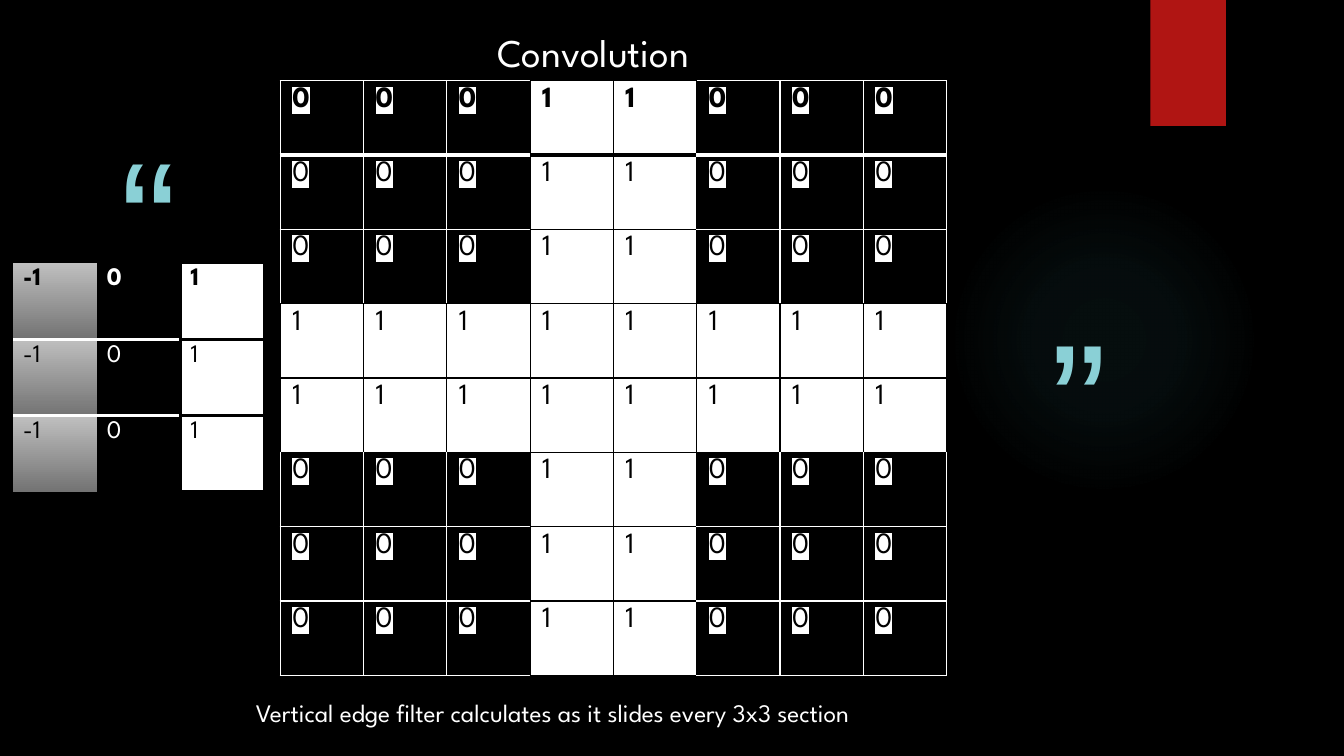
from lxml import etree
from pptx import Presentation
from pptx import util as u
from pptx.dml.color import RGBColor
from pptx.enum import shapes, text
from pptx.oxml.ns import qn

BLACK, WHITE, RED, TEAL, GLOW = "000000", "FFFFFF", "B01513", "8AD0D6", "50B9C1"
FONT = "League Spartan"
PLAIN_GRID = "{2D5ABB26-0587-4C30-8999-92F81FD0307C}"
SIDES = {"lnL": (0, -1), "lnR": (0, 1), "lnT": (-1, 0), "lnB": (1, 0)}
CROSS = ["00011000"] * 3 + ["11111111"] * 2 + ["00011000"] * 3
EDGE_FILTER = [["-1", "0", "1"]] * 3


def rgb(color):
    return RGBColor.from_string(color)


def inches(box):
    return [u.Inches(length) for length in box]


def add_element(parent, tag, **attributes):
    values = {name: str(value) for name, value in attributes.items()}
    return etree.SubElement(parent, qn(f"a:{tag}"), values)


def add_color(parent, color, alpha=100):
    element = add_element(parent, "srgbClr", val=color)
    if alpha < 100:
        add_element(element, "alpha", val=alpha * 1000)


def format_run(run, color, highlight=None, **font):
    for name, value in font.items():
        setattr(run.font, name, value)
    run.font.color.rgb = rgb(color)
    if highlight:
        properties = run.font.fill._xPr
        mark = add_element(properties, "highlight")
        add_color(mark, highlight)
        properties.find(qn("a:solidFill")).addnext(mark)


def write(frame, wording, color, align=text.PP_ALIGN.LEFT, **font):
    paragraph = frame.paragraphs[0]
    paragraph.alignment = align
    run = paragraph.add_run()
    run.text = wording
    format_run(run, color, **font)


def place_line(shape, box, wording, size):
    """Put one unwrapped line of text into a title or text box."""
    shape.left, shape.top, shape.width, shape.height = inches(box)
    frame_format = {"word_wrap": False, "vertical_anchor": text.MSO_ANCHOR.TOP,
                    "auto_size": text.MSO_AUTO_SIZE.SHAPE_TO_FIT_TEXT}
    for name, value in frame_format.items():
        setattr(shape.text_frame, name, value)
    write(shape.text_frame, wording, WHITE, size=u.Pt(size), name=FONT)


def add_glow(slide, box):
    glow = slide.shapes.add_shape(shapes.MSO_SHAPE.OVAL, *inches(box))
    glow.shadow.inherit = False
    glow.line.fill.background()
    glow.fill.gradient()
    gradient = glow.fill._xPr.find(qn("a:gradFill"))
    for child in list(gradient):
        gradient.remove(child)
    stops = add_element(gradient, "gsLst")
    for position, alpha in ((0, 7), (36, 6), (69, 0)):
        add_color(add_element(stops, "gs", pos=position * 1000), GLOW, alpha)
    circle = add_element(gradient, "path", path="circle")
    add_element(circle, "fillToRect", l=50000, t=50000, r=50000, b=50000)


def add_red_tab(slide, box):
    tab = slide.shapes.add_shape(shapes.MSO_SHAPE.RECTANGLE, *inches(box))
    tab.fill.solid()
    tab.fill.fore_color.rgb = rgb(RED)
    tab.line.fill.background()
    tab.shadow.inherit = False
    effects = tab._element.spPr.find(qn("a:effectLst"))
    shadow = add_element(effects, "outerShdw", blurRad=u.Pt(3), dist=u.Pt(2),
                         dir=90 * 60000, algn="ctr", rotWithShape=0)
    add_color(shadow, BLACK, 45)


def add_quote_mark(slide, box, mark):
    frame = slide.shapes.add_textbox(*inches(box)).text_frame
    frame.word_wrap = True
    write(frame, mark, TEAL, text.PP_ALIGN.RIGHT, size=u.Pt(122), name="Arial")


def add_border(cell, side, color, width):
    line = add_element(cell._tc.get_or_add_tcPr(), side, w=u.Pt(width))
    add_color(add_element(line, "solidFill"), color)


def fill_cell(cell, color):
    cell.fill.solid()
    cell.fill.fore_color.rgb = rgb(color)


def add_number_grid(slide, box, values, size, inset):
    """Add an evenly divided table and yield each cell with its row, column and value."""
    frame = slide.shapes.add_table(len(values), len(values[0]), *inches(box))
    frame._element.find(".//" + qn("a:tableStyleId")).text = PLAIN_GRID
    frame.table.horz_banding = False
    margins = dict(margin_left=2 * inset, margin_right=2 * inset,
                   margin_top=inset, margin_bottom=inset)
    for row, numbers in enumerate(values):
        for column, number in enumerate(numbers):
            cell = frame.table.cell(row, column)
            for name, value in margins.items():
                setattr(cell, name, u.Inches(value))
            write(cell.text_frame, number, BLACK, size=u.Pt(size), name=FONT,
                  bold=row == 0)
            yield cell, row, column, number


def add_pixel_image(slide, box):
    """Dark pixels meet each other and the outside in white lines; all others are black."""
    last = len(CROSS) - 1
    for cell, row, column, pixel in add_number_grid(slide, box, CROSS, 21, 0.06):
        dark = pixel == "0"
        for side, (down, right) in SIDES.items():
            next_row = min(max(row + down, 0), last)
            next_column = min(max(column + right, 0), last)
            both_dark = dark and CROSS[next_row][next_column] == "0"
            under_header = (row, side) in ((0, "lnB"), (1, "lnT"))
            add_border(cell, side, WHITE if both_dark else BLACK,
                       3 if under_header else 1)
        fill_cell(cell, BLACK if dark else WHITE)
        if dark:
            run = cell.text_frame.paragraphs[0].runs[0]
            format_run(run, BLACK, highlight=WHITE)


def add_filter(slide, box):
    for cell, row, column, weight in add_number_grid(slide, box, EDGE_FILTER, 18, 0.05):
        for side in SIDES:
            under_header = (row, side) in ((0, "lnB"), (1, "lnT"))
            if column < 2 and under_header:
                add_border(cell, side, WHITE, 2)
            elif column == 2 or (column == 1 and side == "lnR"):
                add_border(cell, side, BLACK, 2.25)
        if weight == "-1":
            cell.fill.gradient()
            cell.fill.gradient_angle = 270
            for stop, color, position in zip(cell.fill.gradient_stops,
                                             ("BFBFBF", "737373"), (0, 1)):
                stop.color.rgb = rgb(color)
                stop.position = position
        else:
            fill_cell(cell, BLACK if weight == "0" else WHITE)
        if weight == "0":
            format_run(cell.text_frame.paragraphs[0].runs[0], WHITE)


def main():
    deck = Presentation()
    deck.slide_width, deck.slide_height = inches((13.33, 7.5))
    slide = deck.slides.add_slide(deck.slide_layouts[5])
    slide.background.fill.solid()
    slide.background.fill.fore_color.rgb = rgb(BLACK)

    add_glow(slide, (9.41, 1.83, 3.08, 3.08))
    add_red_tab(slide, (11.41, 0, 0.75, 1.25))
    add_quote_mark(slide, (0.98, 1.06, 0.88, 2.15), "“")
    add_quote_mark(slide, (10.2, 2.86, 0.88, 2.15), "”")
    add_pixel_image(slide, (2.78, 0.8, 6.61, 5.9))
    add_filter(slide, (0.13, 2.61, 2.49, 2.27))
    place_line(slide.shapes.title, (4.83, 0.23, 2.52, 0.57), "Convolution", 28)
    caption_box = (2.44, 6.87, 7.3, 0.4)
    place_line(slide.shapes.add_textbox(*inches(caption_box)), caption_box,
               "Vertical edge filter calculates as it slides every 3x3 section", 18)
    deck.save("out.pptx")


if __name__ == "__main__":
    main()
